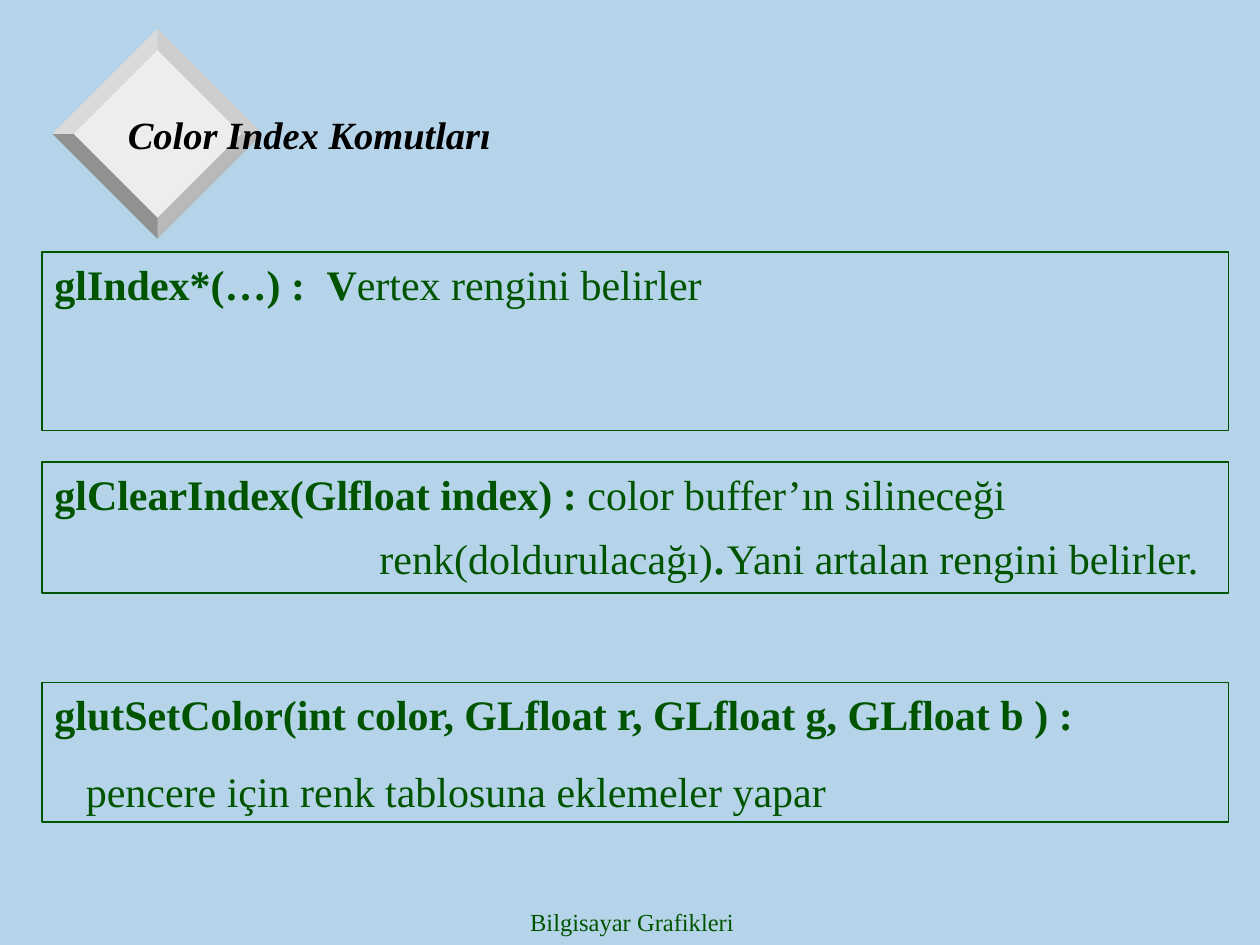
from lxml import etree
from pptx import Presentation, util as u
from pptx.dml.color import RGBColor
from pptx.enum import shapes, text
from pptx.oxml.ns import qn

THEME = {
    "font": "Times New Roman",
    "background": "B5D4E9", "ink": "005400", "title": "000000",
    "diamond": "EDEDED", "bevels": ["CECECE", "B9B9B9", "919191", "DADADA"],
    "title_size": 22, "body_size": 24, "large_size": 32, "footer_size": 14,
}
UNIT = u.Inches(1 / 12)  # the slide is a grid of 120 columns by 90 rows


def grid(*cells):
    return [round(cell * UNIT) for cell in cells]


def write(frame, paragraphs, size=THEME["body_size"], color=THEME["ink"], italic=False,
          align=text.PP_ALIGN.LEFT, anchor=text.MSO_ANCHOR.TOP):
    """Fill a frame; each paragraph is (runs, indent, space before, tab stop),
    and each run is (words, bold) with an optional size of its own."""
    frame.word_wrap = True
    frame.vertical_anchor = anchor
    for number, (runs, indent, before, tab) in enumerate(paragraphs):
        paragraph = frame.paragraphs[0] if number == 0 else frame.add_paragraph()
        properties = paragraph._p.get_or_add_pPr()
        properties.set("marL", str(u.Inches(indent)))
        if tab:
            stops = etree.SubElement(properties, qn("a:tabLst"))
            etree.SubElement(stops, qn("a:tab"), pos=str(u.Inches(tab)), algn="l")
        paragraph.alignment = align
        paragraph.space_before = u.Pt(before)
        for words, bold, *own_size in runs:
            run = paragraph.add_run()
            run.text = words
            run.font.name = THEME["font"]
            run.font.size = u.Pt(own_size[0] if own_size else size)
            run.font.bold, run.font.italic = bold, italic
            run.font.color.rgb = RGBColor.from_string(color)


deck = Presentation()
deck.slide_width, deck.slide_height = grid(120, 90)
slide = deck.slides.add_slide(deck.slide_layouts[6])
slide.background.fill.solid()
slide.background.fill.fore_color.rgb = RGBColor.from_string(THEME["background"])

# Bevelled diamond: an inner face and four edges, clockwise from the top right
center_x, center_y = 15, 12.75
directions = [(0, -1), (1, 0), (0, 1), (-1, 0)]
inner, outer = [[(center_x + x * reach, center_y + y * reach) for x, y in directions]
                for reach in (8, 10)]
facets = [(inner, THEME["diamond"])]
for side, shade in enumerate(THEME["bevels"]):
    following = (side + 1) % 4
    facets.append(([inner[side], outer[side], outer[following], inner[following]], shade))
ornament = slide.shapes.add_group_shape()
for corners, shade in facets:
    start, *others = [grid(*corner) for corner in corners]
    outline = ornament.shapes.build_freeform(*start)
    outline.add_line_segments(others, close=True)
    facet = outline.convert_to_shape()
    facet.shadow.inherit = False
    facet.fill.solid()
    facet.fill.fore_color.rgb = RGBColor.from_string(shade)
    facet.line.fill.background()

footer = slide.shapes.add_textbox(*grid(41.2, 85.8, 38, 4.2))
write(footer.text_frame, [([("Bilgisayar Grafikleri", False)], 0, 0, None)],
      size=THEME["footer_size"], align=text.PP_ALIGN.CENTER)

title = slide.shapes.add_textbox(*grid(11, 5.5, 102, 14.5))
write(title.text_frame, [([("Color Index Komutları", True)], 0, 0, None)],
      size=THEME["title_size"], color=THEME["title"], italic=True,
      anchor=text.MSO_ANCHOR.MIDDLE)

# Command boxes: top row, rows high, paragraphs
commands = [
    (24, 17, [
        ([("glIndex*(…) :\tV", True), ("ertex rengini belirler", False)], 0, 0, 2.16),
    ]),
    (44, 12.5, [
        ([("glClearIndex(Glfloat index) : ", True),
          ("color buffer’ın silineceği", False)], 0, 0, None),
        ([("renk(doldurulacağı)", False), (".", False, THEME["large_size"]),
          ("Yani artalan rengini belirler.", False)], 2.58, 0, None),
    ]),
    (65, 13.3, [
        ([("glutSetColor(int color, GLfloat r, GLfloat g, GLfloat b ) :", True)], 0, 0, None),
        ([("pencere için renk tablosuna eklemeler yapar", False)], 0.25, 15, None),
    ]),
]
for top, height, paragraphs in commands:
    command = slide.shapes.add_shape(shapes.MSO_SHAPE.RECTANGLE, *grid(4, top, 113, height))
    command.shadow.inherit = False
    command.fill.background()
    command.line.color.rgb = RGBColor.from_string(THEME["ink"])
    command.line.width = u.Pt(0.75)
    write(command.text_frame, paragraphs)

deck.save("out.pptx")
